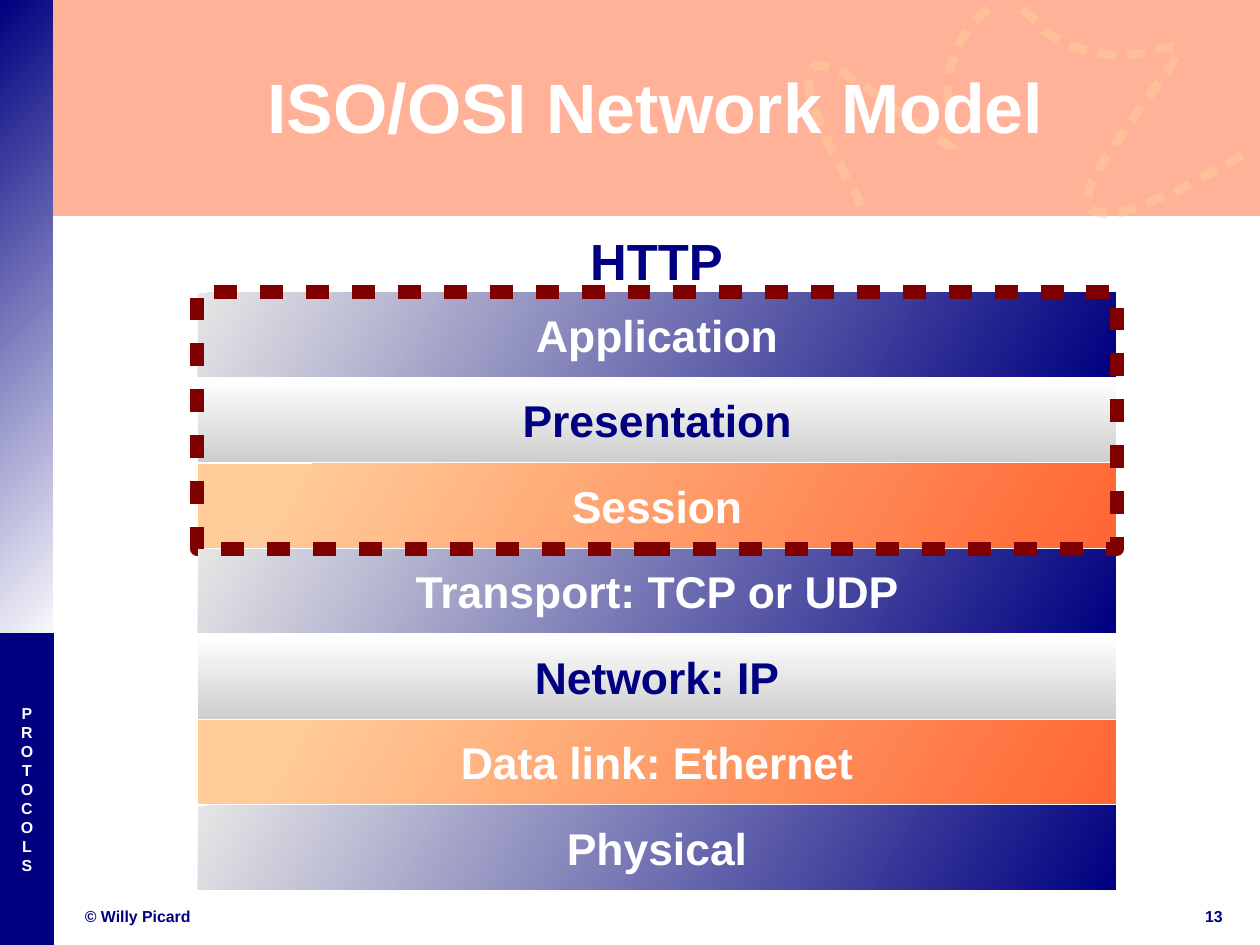
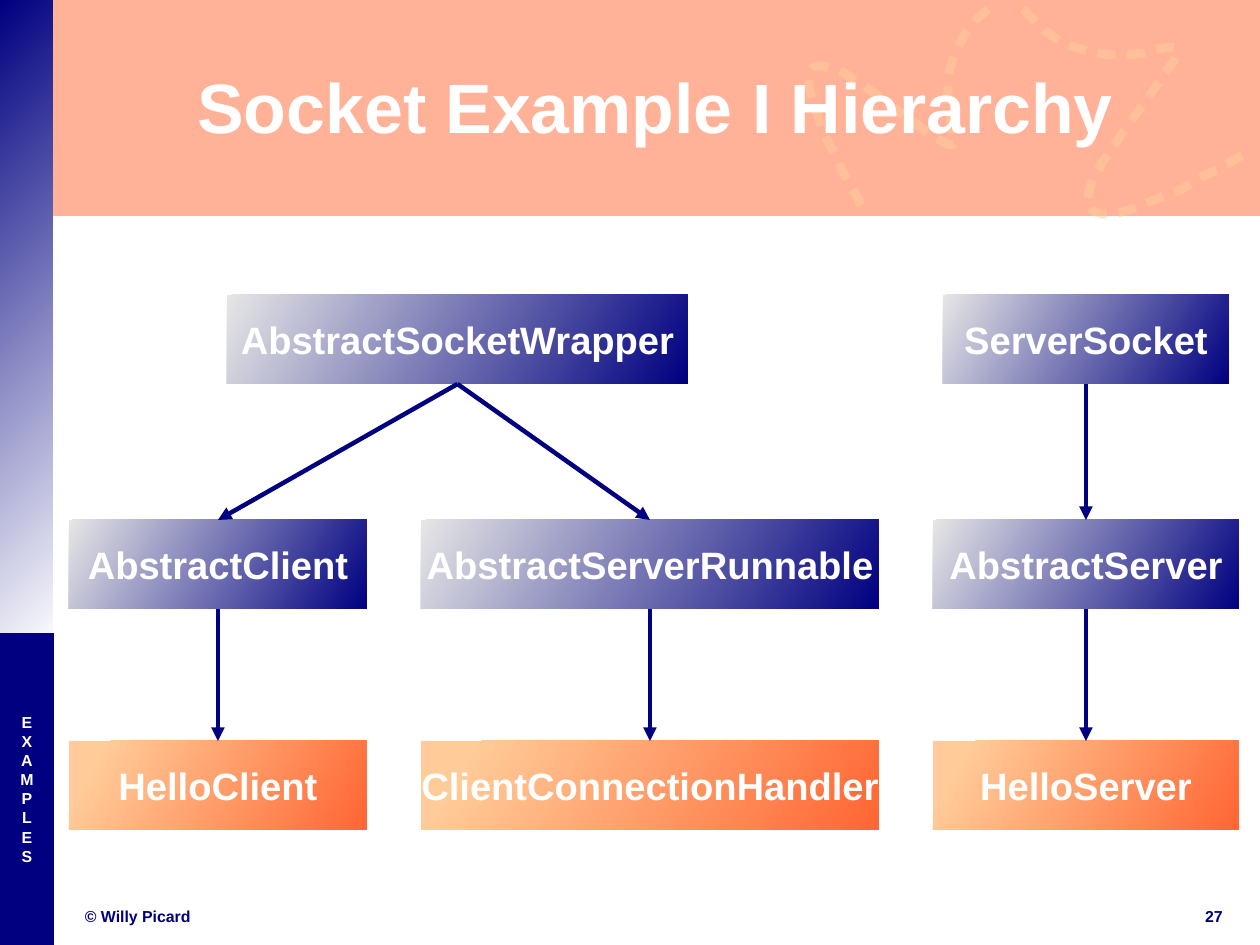
from lxml.etree import SubElement
from pptx import Presentation
from pptx.dml.color import RGBColor
from pptx.enum.shapes import MSO_CONNECTOR, MSO_SHAPE
from pptx.enum.text import MSO_ANCHOR, PP_ALIGN
from pptx.oxml.ns import qn
from pptx.util import Pt

PX = 8000  # 1260 by 945 px make 28 by 21 cm
WIDE, HIGH = 1260, 945
NAVY, WHITE, ORANGE, PEACH, MAROON = "000080", "FFFFFF", "FF6633", "FFCC99", "800000"

# Each look: hues, gradient angle, position of the first stop, text colour
BLUE = (("E6E6E6", NAVY), 30, 0, WHITE)
GREY = ((WHITE, "CECECE"), 90, 0, NAVY)
WARM = ((PEACH, ORANGE), 30, 0.1, WHITE)
FADE = ((NAVY, WHITE), 45, 0, WHITE)
SOLID = ((NAVY,), 0, 0, WHITE)
BAND = ((ORANGE,), 0, 0, WHITE)


def paint(fill, *hues, angle=0, start=0):
    """Fill with one hue, or with a gradient of two; the angle runs clockwise."""
    if len(hues) == 1:
        fill.solid()
        fill.fore_color.rgb = RGBColor.from_string(hues[0])
        return
    fill.gradient()
    fill.gradient_angle = 360 - angle
    for stop, hue, place in zip(fill.gradient_stops, hues, (start, 1)):
        stop.color.rgb = RGBColor.from_string(hue)
        stop.position = place


def box(slide, at, text="", size=10, look=None, ink=NAVY, align=PP_ALIGN.CENTER):
    """Add a rectangle with the given look, or a plain text box without one."""
    area = [n * PX for n in at]
    if look:
        shape = slide.shapes.add_shape(MSO_SHAPE.RECTANGLE, *area)
        shape.shadow.inherit = False
        shape.line.fill.background()
        hues, angle, start, ink = look
        paint(shape.fill, *hues, angle=angle, start=start)
    else:
        shape = slide.shapes.add_textbox(*area)
    frame = shape.text_frame
    frame.margin_left = frame.margin_right = frame.margin_top = frame.margin_bottom = 0
    frame.vertical_anchor = MSO_ANCHOR.MIDDLE
    frame.word_wrap = True
    frame.text = text
    for para in frame.paragraphs:
        para.alignment = align
        for run in para.runs:
            run.font.name = "Arial"
            run.font.size = Pt(size)
            run.font.bold = True
            paint(run.font.fill, ink)
    return shape


# The left swirl is two joined cubic curves, sampled into short segments
arcs = [
    [(988, 9), (884, 98), (1033, 211), (881, 98)],
    [(881, 98), (729, -16), (864, 209), (864, 209)],
]
steps = 30
swirl = [arcs[0][0]]
for arc in arcs:
    for k in range(1, steps + 1):
        t = k / steps
        parts = ((1 - t) ** 3, 3 * t * (1 - t) ** 2, 3 * t * t * (1 - t), t ** 3)
        swirl.append(tuple(sum(p * c for p, c in zip(parts, axis)) for axis in zip(*arc)))
wave = [
    (1023, 9), (1045, 31), (1066, 45), (1088, 51), (1110, 55), (1128, 55), (1145, 53),
    (1159, 49), (1169, 47), (1176, 48), (1177, 51), (1174, 61), (1164, 75),
    (1148, 98), (1124, 131), (1102, 163), (1090, 187), (1087, 202), (1093, 211),
    (1103, 214), (1119, 213), (1138, 207), (1159, 198), (1182, 189), (1202, 177),
    (1221, 168), (1236, 159), (1246, 153), (1250, 151),
]

deck = Presentation()
deck.slide_width, deck.slide_height = WIDE * PX, HIGH * PX
dashed = []  # shape, dash and gap in thousandths of a percent of the line width

# Frame of every slide
for title, topic, number in (
    ("ISO/OSI Network Model", "PROTOCOLS", "13"),
    ("Socket Example I Hierarchy", "EXAMPLES", "27"),
):
    slide = deck.slides.add_slide(deck.slide_layouts[6])
    sheer = [box(slide, (0, 0, WIDE, 216), look=BAND)]
    box(slide, (0, 0, 53, 654), look=FADE)
    for points in (swirl, wave):
        path = slide.shapes.build_freeform(*points[0], scale=PX)
        path.add_line_segments(points[1:], close=False)
        curve = path.convert_to_shape()
        curve.shadow.inherit = False
        curve.fill.background()
        curve.line.width = Pt(5.67)
        paint(curve.line.fill, PEACH)
        sheer.append(curve)
        dashed.append((curve, 200000, 130000))
    for shape in sheer:
        for hue in shape._element.spPr.iter(qn("a:srgbClr")):
            SubElement(hue, qn("a:alpha"), val="50000")
    box(slide, (0, 633, 54, 312), "\n".join(topic), look=SOLID)
    box(slide, (85, 905, 511, 22), "© Willy Picard", align=PP_ALIGN.LEFT)
    box(slide, (1195, 905, 38, 22), number)
    box(slide, (53, 27, 1206, 158), title, 44, ink=WHITE)

model, tree = deck.slides

# Network layers
layers = (
    "Application", "Presentation", "Session", "Transport: TCP or UDP",
    "Network: IP", "Data link: Ethernet", "Physical",
)
for row, layer in enumerate(layers):
    look = (BLUE, GREY, WARM)[row % 3]
    box(model, (198, 293 + 171 * row // 2, 918, 84), layer, 28, look)
box(model, (567, 232, 179, 57), "HTTP", 32)
scope = box(model, (197, 292, 920, 257), look=SOLID)
scope.fill.background()
scope.line.width = Pt(8.5)
paint(scope.line.fill, MAROON)
dashed.append((scope, 170000, 170000))

for shape, dash, gap in dashed:
    line = shape._element.spPr.find(qn("a:ln"))
    style = SubElement(line, qn("a:custDash"))
    SubElement(style, qn("a:ds"), d=str(dash), sp=str(gap))
    SubElement(line, qn("a:round"))

# Class hierarchy
nodes = {}
for top, look, row in (
    (295, BLUE, (("AbstractSocketWrapper", 227, 461), ("ServerSocket", 943, 286))),
    (520, BLUE, (("AbstractClient", 69, 298), ("AbstractServerRunnable", 421, 458),
                 ("AbstractServer", 933, 306))),
    (741, WARM, (("HelloClient", 69, 298), ("ClientConnectionHandler", 421, 458),
                 ("HelloServer", 933, 306))),
):
    for name, left, width in row:
        nodes[name] = box(tree, (left, top, width, 89), name, 24, look)

for base, child in (
    ("AbstractSocketWrapper", "AbstractClient"),
    ("AbstractSocketWrapper", "AbstractServerRunnable"),
    ("AbstractClient", "HelloClient"),
    ("AbstractServerRunnable", "ClientConnectionHandler"),
    ("ServerSocket", "AbstractServer"),
    ("AbstractServer", "HelloServer"),
):
    arrow = tree.shapes.add_connector(MSO_CONNECTOR.STRAIGHT, 0, 0, 0, 0)
    arrow.begin_connect(nodes[base], 2)
    arrow.end_connect(nodes[child], 0)
    arrow.line.width = Pt(2.83)
    paint(arrow.line.fill, NAVY)
    props = arrow._element.spPr
    SubElement(props.find(qn("a:ln")), qn("a:tailEnd"), type="triangle")
    SubElement(props, qn("a:effectLst"))

deck.save("out.pptx")
